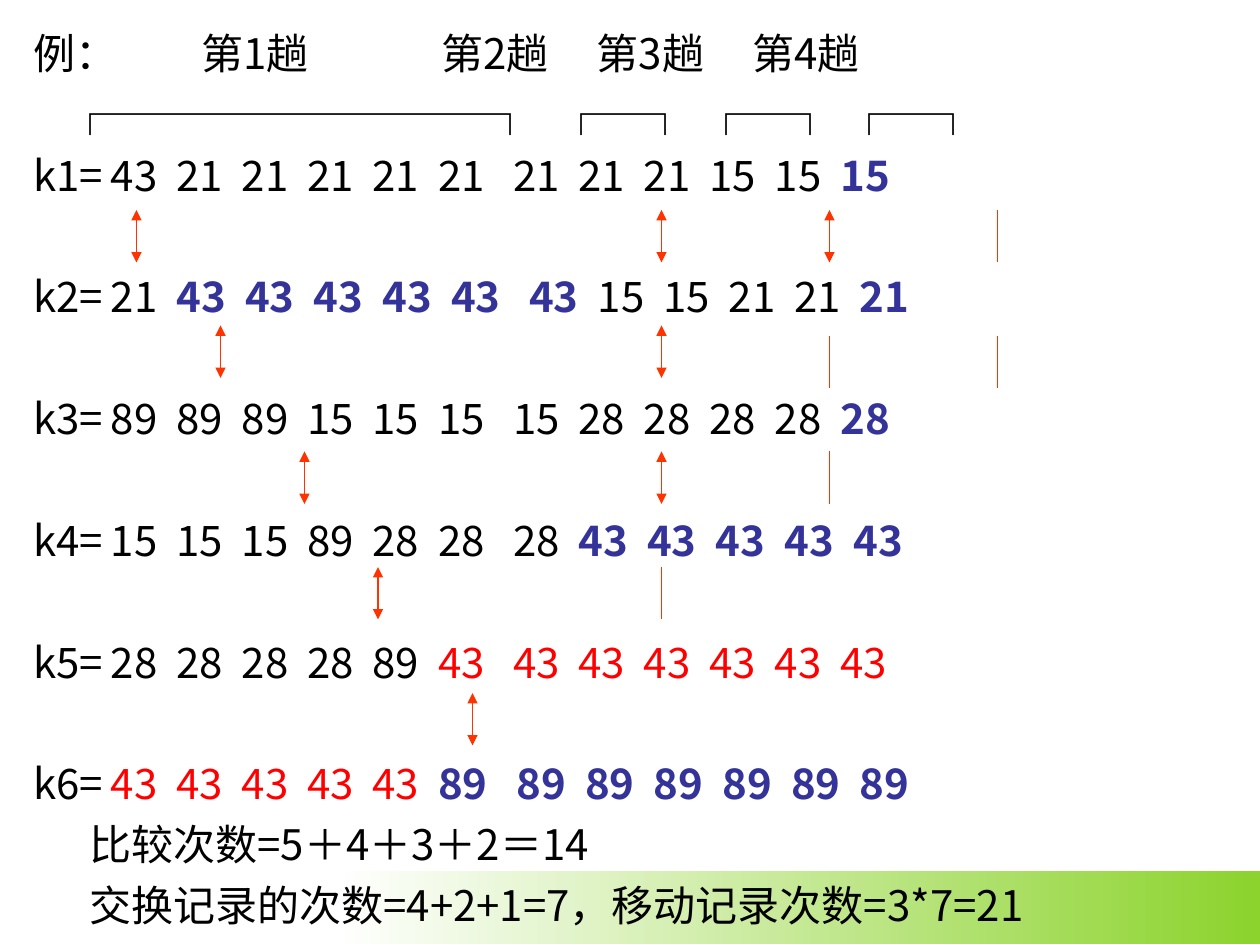
from lxml import etree
from pptx import Presentation
from pptx.dml.color import RGBColor
from pptx.enum.shapes import MSO_CONNECTOR, MSO_SHAPE
from pptx.enum.text import MSO_ANCHOR, MSO_AUTO_SIZE, PP_ALIGN
from pptx.oxml.ns import qn
from pptx.util import Pt

STRAIGHT = MSO_CONNECTOR.STRAIGHT
RECTANGLE = MSO_SHAPE.RECTANGLE
TOP = MSO_ANCHOR.TOP
NO_FIT = MSO_AUTO_SIZE.NONE
LEFT = PP_ALIGN.LEFT

FONT = "Noto Sans CJK SC"
COLORS = {"plain": "000000", "moved": "333399", "equal": "FF0000",
          "arrow": "FF3300", "white": "FFFFFF", "green": "8CD32D"}

PASSES = "例：\t第1趟\t第2趟\t第3趟\t第4趟"
PASS_STOPS = [95.8, 233, 322, 410.7]
BRACKETS = "\t┌─────────┐\t┌─┐\t┌─┐\t┌─┐"
BRACKET_STOPS = [20.6, 301, 384, 466]
KEY_ROWS = [
    [("k1= 43 21 21 21 21 21 21 21 21 15 15", "plain"), ("15", "moved")],
    [("k2= 21", "plain"), ("43 43 43 43 43 43", "moved"),
     ("15 15 21 21", "plain"), ("21", "moved")],
    [("k3= 89 89 89 15 15 15 15 28 28 28 28", "plain"), ("28", "moved")],
    [("k4= 15 15 15 89 28 28 28", "plain"), ("43 43 43 43 43", "moved")],
    [("k5= 28 28 28 28 89", "plain"), ("43 43 43 43 43 43 43", "equal")],
    [("k6=", "plain"), ("43 43 43 43 43", "equal"),
     ("89 89 89 89 89 89 89", "moved")],
]
TOTALS = ["比较次数=5＋4＋3＋2＝14",
          "交换记录的次数=4+2+1=7，移动记录次数=3*7=21"]

FIRST_KEY, PLAIN_STEP, BOLD_STEP, PASS_GAP = 44.3, 37.4, 39.25, 5.4
KEYS_IN_FIRST_PASS = 6
LINE_GAP, ROW_GAP = 6, 40.8

COMPARED = [(78, 120), (126, 186), (174, 258), (216, 324), (270, 396),
            (378, 120), (378, 186), (378, 258), (474, 120)]
UNCOMPARED = [(378, 324), (474, 192), (474, 258), (570, 120), (570, 192)]
ARROW_LENGTH = 30


def rgb(name):
    """Return the named colour."""
    return RGBColor.from_string(COLORS[name])


def key_stops(segments):
    """Return the tab stop of every key in a row; bold keys are wider."""
    stops, position = [], FIRST_KEY
    for text, style in segments:
        for key in text.split():
            if key.endswith("="):
                continue
            stops.append(position)
            position += BOLD_STEP if style == "moved" else PLAIN_STEP
            if len(stops) == KEYS_IN_FIRST_PASS:
                position += PASS_GAP
    return stops


def write_line(paragraph, segments, stops=(), before=LINE_GAP, indent=0):
    """Fill one paragraph with styled runs aligned to tab stops."""
    properties = paragraph._p.get_or_add_pPr()
    if indent:
        properties.set("marL", str(Pt(indent)))
    if stops:
        tab_list = etree.SubElement(properties, qn("a:tabLst"))
        for stop in stops:
            etree.SubElement(tab_list, qn("a:tab"), pos=str(Pt(stop)), algn="l")
    paragraph.alignment = LEFT
    paragraph.space_before = Pt(before)
    for text, style in segments:
        run = paragraph.add_run()
        run.text = text
        run.font.size = Pt(24)
        run.font.name = FONT
        run.font.bold = style == "moved"
        run.font.color.rgb = rgb(style)
        etree.SubElement(run._r.get_or_add_rPr(), qn("a:ea"), typeface=FONT)


def add_sort_trace(slide, left, top, width, height):
    """Write the pass headings, the key rows and the totals in one box."""
    trace = slide.shapes.add_textbox(Pt(left), Pt(top), Pt(width), Pt(height))
    frame = trace.text_frame
    frame.word_wrap = True
    frame.auto_size = NO_FIT
    frame.vertical_anchor = TOP
    write_line(frame.paragraphs[0], [(PASSES, "plain")], PASS_STOPS, before=0)
    write_line(frame.add_paragraph(), [(BRACKETS, "plain")], BRACKET_STOPS)
    for row, segments in enumerate(KEY_ROWS):
        runs = [(("\t" if part else "") + text.replace(" ", "\t"), style)
                for part, (text, style) in enumerate(segments)]
        write_line(frame.add_paragraph(), runs, key_stops(segments),
                   ROW_GAP if row else LINE_GAP)
    for total in TOTALS:
        write_line(frame.add_paragraph(), [(total, "plain")], indent=32)


def add_footer_band(slide, left, top, width, height):
    """Place the fading green band at the foot of the slide."""
    band = slide.shapes.add_shape(RECTANGLE, Pt(left), Pt(top), Pt(width), Pt(height))
    band.shadow.inherit = False
    band.line.fill.background()
    band.fill.gradient()
    band.fill.gradient_angle = 0
    for stop, name in zip(band.fill.gradient_stops, ("white", "green")):
        stop.color.rgb = rgb(name)


def add_comparison(slide, x, y, compared):
    """Draw a vertical mark between two keys, with arrowheads if compared."""
    mark = slide.shapes.add_connector(STRAIGHT, Pt(x), Pt(y), Pt(x), Pt(y + ARROW_LENGTH))
    mark.line.color.rgb = rgb("arrow")
    mark.line.width = Pt(0.75)
    if compared:
        line = mark.line._get_or_add_ln()
        for end in ("a:headEnd", "a:tailEnd"):
            etree.SubElement(line, qn(end), type="triangle")
    etree.SubElement(mark._element.spPr, qn("a:effectLst"))


def main():
    """Build the bubble sort slide."""
    deck = Presentation()
    deck.slide_width, deck.slide_height = Pt(720), Pt(540)
    slide = deck.slides.add_slide(deck.slide_layouts[6])
    add_footer_band(slide, 192, 497.5, 528, 42)
    add_sort_trace(slide, 12, 12, 708, 528)
    for x, y in COMPARED:
        add_comparison(slide, x, y, True)
    for x, y in UNCOMPARED:
        add_comparison(slide, x, y, False)
    deck.save("out.pptx")


if __name__ == "__main__":
    main()
